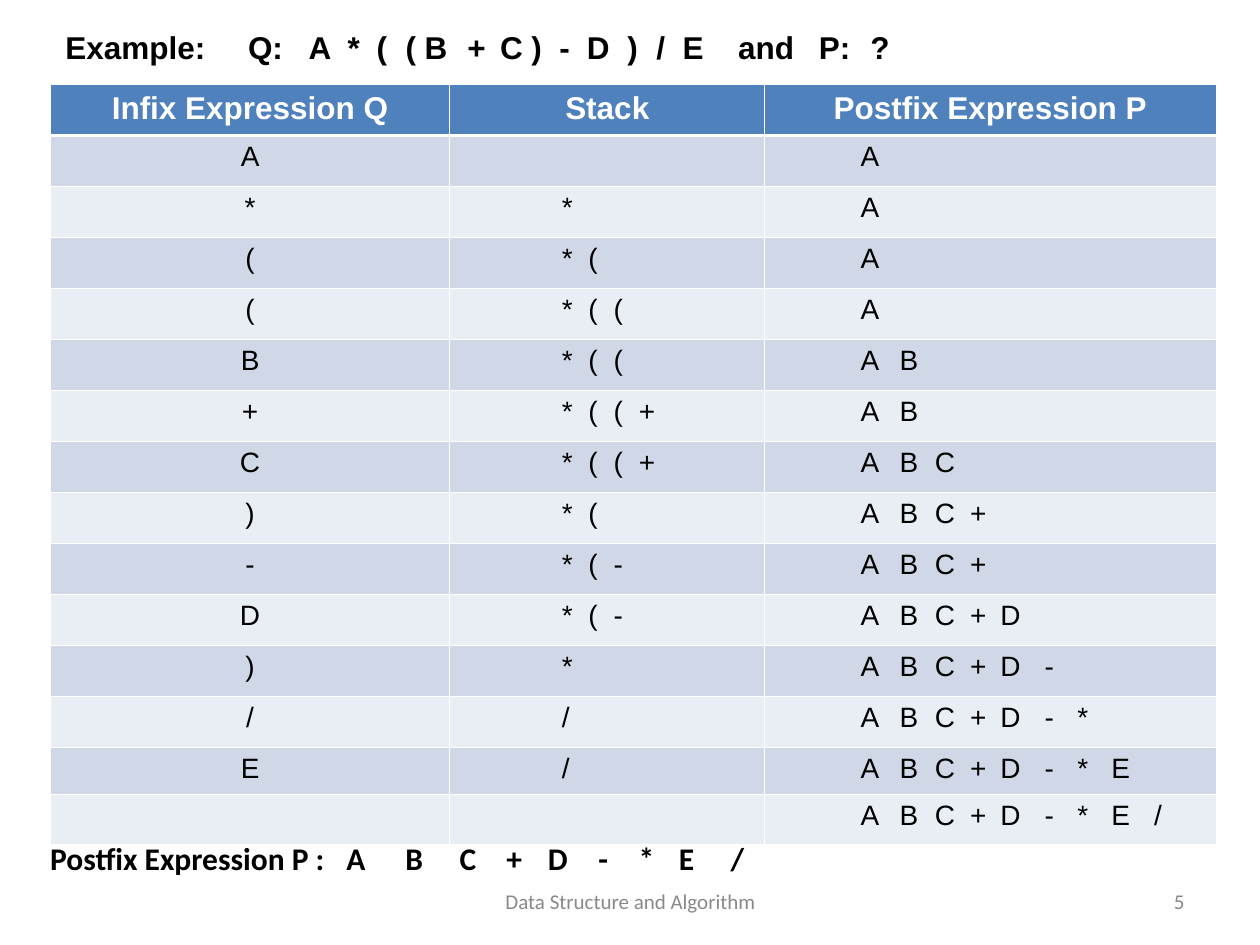
from dataclasses import dataclass

from lxml import etree
from pptx import Presentation
from pptx import util as u
from pptx.dml.color import RGBColor
from pptx.enum import text
from pptx.oxml import ns

BLACK = RGBColor(0x00, 0x00, 0x00)
WHITE = RGBColor(0xFF, 0xFF, 0xFF)
GREY = RGBColor(0x89, 0x89, 0x89)
HEADER = RGBColor(0x4F, 0x81, 0xBD)
BANDS = (RGBColor(0xD0, 0xD8, 0xE8), RGBColor(0xE9, 0xED, 0xF4))

LEFT, CENTER, RIGHT = (text.PP_ALIGN.LEFT, text.PP_ALIGN.CENTER,
                       text.PP_ALIGN.RIGHT)
HAIR, RULE = 0.45, 1.47  # border widths in points

# Slide grid: 100 columns by 75 rows
COLS, ROWS = 100, 75
UNIT = u.Inches(0.1)


@dataclass(frozen=True)
class Style:
    font: str
    size: int
    color: RGBColor
    bold: bool = False
    align: text.PP_ALIGN = LEFT


@dataclass(frozen=True)
class Label:
    words: str
    col: float
    row: float
    width: float
    style: Style
    stops: tuple = ()
    anchor: text.MSO_ANCHOR = text.MSO_ANCHOR.TOP


@dataclass(frozen=True)
class Step:
    symbol: str
    stack: str
    postfix: str


HEAD_STYLE = Style("Arial", 18, WHITE, True, CENTER)
SYMBOL_STYLE = Style("Arial", 16, BLACK, align=CENTER)
TRACE_STYLE = Style("Arial", 16, BLACK)

# Tab stops in grid columns, measured from the start of the text
STACK_STOPS = (7.9, 10, 12, 14)
POSTFIX_STOPS = (6.6, 9.7, 12.5, 15.3, 17.7, 21.2, 23.8, 26.5, 29.9)
QUESTION_STOPS = (14.5, 19.3, 22.4, 24.7, 27, 31.9, 34.5, 39.2, 41.4,
                  44.6, 46.9, 49, 53.4, 59.8, 63.9)
ANSWER_STOPS = (23.5, 28.2, 32.5, 36.2, 39.5, 43.5, 46.7, 49.9, 54)

LABELS = (
    Label("Data Structure and Algorithm", 34.2, 69.5, 31.7,
          Style("Calibri", 12, GREY, align=CENTER),
          anchor=text.MSO_ANCHOR.MIDDLE),
    Label("5", 71.7, 69.5, 23.3, Style("Calibri", 12, GREY, align=RIGHT),
          anchor=text.MSO_ANCHOR.MIDDLE),
    Label("Example:|Q:|A|*|(|( B|+|C )|-|D|)|/|E|and|P:|?", 4.2, 1.7, 90.8,
          Style("Arial", 18, BLACK, True), QUESTION_STOPS),
)
ANSWER = Label("Postfix Expression P :|A|B|C|+|D|-|*|E|/", 3, 66.1, 61.7,
               Style("Calibri", 18, BLACK, True), ANSWER_STOPS)

TITLES = ("Infix Expression Q", "Stack", "Postfix Expression P")
STEPS = (
    Step("A", "", "A"),
    Step("*", "*", "A"),
    Step("(", "*(", "A"),
    Step("(", "*((", "A"),
    Step("B", "*((", "AB"),
    Step("+", "*((+", "AB"),
    Step("C", "*((+", "ABC"),
    Step(")", "*(", "ABC+"),
    Step("-", "*(-", "ABC+"),
    Step("D", "*(-", "ABC+D"),
    Step(")", "*", "ABC+D-"),
    Step("/", "/", "ABC+D-*"),
    Step("E", "/", "ABC+D-*E"),
    Step("", "", "ABC+D-*E/"),
)
COL_WIDTHS = (31.7, 25, 35.8)
ROW_HEIGHTS = (4.05,) * 13 + (3.7, 4)


def grid(n: float) -> int:
    return int(n * UNIT)


def write(tf, words: str, style: Style, stops: tuple = ()) -> None:
    """Write one styled paragraph with its own tab stops."""
    p = tf.paragraphs[0]
    p.alignment = style.align
    if stops:
        tabs = etree.SubElement(p._p.get_or_add_pPr(), ns.qn("a:tabLst"))
        for stop in stops:
            etree.SubElement(tabs, ns.qn("a:tab"), pos=str(grid(stop)),
                             algn="l")
    r = p.add_run()
    r.text = words
    formats = {"name": style.font, "size": u.Pt(style.size),
               "bold": style.bold}
    for name, value in formats.items():
        setattr(r.font, name, value)
    r.font.color.rgb = style.color


def draw_label(s, label: Label) -> None:
    sp = s.shapes.add_textbox(grid(label.col), grid(label.row),
                              grid(label.width), grid(4))
    tf = sp.text_frame
    formats = {"word_wrap": True, "vertical_anchor": label.anchor}
    for name, value in formats.items():
        setattr(tf, name, value)
    write(tf, label.words.replace("|", "\t"), label.style, label.stops)


def paint_cell(cell, fill: RGBColor, top: float, bottom: float) -> None:
    """Give a cell its white borders and its fill."""
    tc_pr = cell._tc.get_or_add_tcPr()
    widths = {"a:lnL": HAIR, "a:lnR": HAIR, "a:lnT": top, "a:lnB": bottom}
    for tag, width in widths.items():
        ln = etree.SubElement(tc_pr, ns.qn(tag), w=str(int(u.Pt(width))))
        solid = etree.SubElement(ln, ns.qn("a:solidFill"))
        etree.SubElement(solid, ns.qn("a:srgbClr"), val=str(WHITE))
    cell.fill.solid()
    cell.fill.fore_color.rgb = fill


def draw_trace(s, col: float, row: float) -> None:
    """Draw the conversion table, one row per step."""
    table = s.shapes.add_table(
        len(STEPS) + 1, len(TITLES), grid(col), grid(row),
        grid(sum(COL_WIDTHS)), grid(sum(ROW_HEIGHTS))).table
    for column, width in zip(table.columns, COL_WIDTHS):
        column.width = grid(width)
    for line, height in zip(table.rows, ROW_HEIGHTS):
        line.height = grid(height)

    for i, title in enumerate(TITLES):
        cell = table.cell(0, i)
        paint_cell(cell, HEADER, HAIR, RULE)
        write(cell.text_frame, title, HEAD_STYLE)

    for n, step in enumerate(STEPS, 1):
        entries = ((step.symbol, SYMBOL_STYLE, ()),
                   (step.stack, TRACE_STYLE, STACK_STOPS),
                   (step.postfix, TRACE_STYLE, POSTFIX_STOPS))
        for i, (symbols, style, stops) in enumerate(entries):
            cell = table.cell(n, i)
            paint_cell(cell, BANDS[(n - 1) % 2], RULE if n == 1 else HAIR, HAIR)
            if symbols:
                words = "".join("\t" + c for c in symbols) if stops else symbols
                write(cell.text_frame, words, style, stops)


def main() -> None:
    prs = Presentation()
    prs.slide_width, prs.slide_height = grid(COLS), grid(ROWS)
    s = prs.slides.add_slide(prs.slide_layouts[6])
    # Footer, page number and question
    for label in LABELS:
        draw_label(s, label)
    # Step-by-step conversion, then the answer
    draw_trace(s, 4, 6.7)
    draw_label(s, ANSWER)
    prs.save("out.pptx")


if __name__ == "__main__":
    main()
